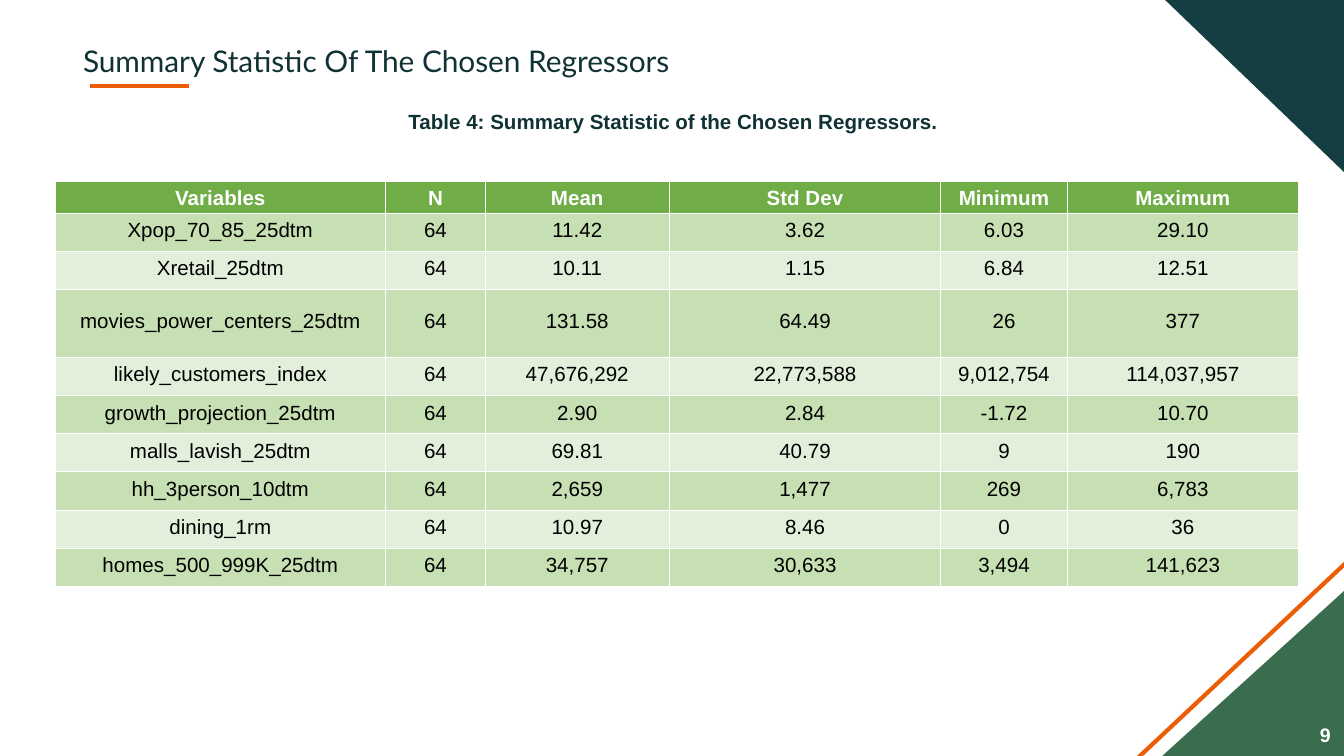
"""Build the summary statistics slide with its regressor table."""
from dataclasses import dataclass

from lxml.etree import SubElement
from pptx import Presentation
from pptx.dml.color import RGBColor
from pptx.enum.shapes import MSO_CONNECTOR as Connector, MSO_SHAPE as Shape
from pptx.enum.text import MSO_ANCHOR as Anchor, PP_ALIGN as Align
from pptx.oxml.ns import qn
from pptx.util import Cm, Pt


@dataclass(frozen=True)
class Theme:
    """Colours, fonts and sizes of the slide."""
    teal: str = "143E42"
    green: str = "396D4D"
    orange: str = "EB5D06"
    ink: str = "103235"
    white: str = "FFFFFF"
    black: str = "000000"
    header: str = "70AD47"
    bands: tuple = ("C6E0B4", "E2EFDA")
    heading_font: str = "Lato"
    body_font: str = "Arial"
    heading_size: float = 16
    body_size: float = 11
    number_size: float = 10.5
    stroke: float = 2.25
    grid: float = 0.5


THEME = Theme()
COLUMN_WIDTHS = (6.25, 1.88, 3.48, 5.13, 2.39, 4.37)
HEADER_HEIGHT, ROW_HEIGHT, TALL_HEIGHT = 0.6, 0.72, 1.29
TALL_VARIABLE = "movies_power_centers_25dtm"
STATISTICS = (
    ("Variables", "N", "Mean", "Std Dev", "Minimum", "Maximum"),
    ("Xpop_70_85_25dtm", "64", "11.42", "3.62", "6.03", "29.10"),
    ("Xretail_25dtm", "64", "10.11", "1.15", "6.84", "12.51"),
    (TALL_VARIABLE, "64", "131.58", "64.49", "26", "377"),
    ("likely_customers_index", "64", "47,676,292", "22,773,588", "9,012,754", "114,037,957"),
    ("growth_projection_25dtm", "64", "2.90", "2.84", "-1.72", "10.70"),
    ("malls_lavish_25dtm", "64", "69.81", "40.79", "9", "190"),
    ("hh_3person_10dtm", "64", "2,659", "1,477", "269", "6,783"),
    ("dining_1rm", "64", "10.97", "8.46", "0", "36"),
    ("homes_500_999K_25dtm", "64", "34,757", "30,633", "3,494", "141,623"),
)


def paint(shape, color):
    """Give a shape a flat fill without outline or shadow."""
    shape.shadow.inherit = False
    shape.fill.solid()
    shape.fill.fore_color.rgb = RGBColor.from_string(color)
    shape.line.fill.background()


def add_rule(slide, start, end):
    """Draw an orange line between two points."""
    rule = slide.shapes.add_connector(Connector.STRAIGHT, *map(Cm, start + end))
    rule.line.color.rgb = RGBColor.from_string(THEME.orange)
    rule.line.width = Pt(THEME.stroke)
    SubElement(rule._element.spPr, qn("a:effectLst"))


def add_corners(slide):
    """Draw the decorated right-hand corners."""
    outline = slide.shapes.build_freeform(Cm(25.45), 0)
    outline.add_line_segments([(Cm(25.45), Cm(3.3)), (Cm(22.02), 0)])
    paint(outline.convert_to_shape(), THEME.teal)
    add_rule(slide, (25.68, 10.41), (21.34, 14.48))
    wedge = slide.shapes.add_shape(
        Shape.RIGHT_TRIANGLE, Cm(21.79), Cm(11.02), Cm(3.78), Cm(3.43))
    wedge._element.spPr.xfrm.set("flipH", "1")
    paint(wedge, THEME.green)


def style(paragraph, font, size, color, bold=False, align=Align.LEFT):
    """Format a paragraph and its runs."""
    paragraph.alignment = align
    for run in paragraph.runs:
        run.font.name = font
        run.font.size = Pt(size)
        run.font.bold = bold
        run.font.color.rgb = RGBColor.from_string(color)


def set_margins(target, left, top, right, bottom):
    """Set the inner margins of a text frame or cell."""
    target.margin_left, target.margin_top = Cm(left), Cm(top)
    target.margin_right, target.margin_bottom = Cm(right), Cm(bottom)


def add_text(slide, box, text, font, size, color, bold=False,
             align=Align.LEFT, anchor=Anchor.TOP, inset=0.25):
    """Add a wrapped line of text and return its paragraph."""
    frame = slide.shapes.add_textbox(*map(Cm, box)).text_frame
    frame.word_wrap = True
    frame.vertical_anchor = anchor
    set_margins(frame, inset, inset, inset, inset)
    frame.text = text
    style(frame.paragraphs[0], font, size, color, bold, align)
    return frame.paragraphs[0]


def add_borders(cell):
    """Outline a cell in white."""
    for side in ("a:lnL", "a:lnR", "a:lnT", "a:lnB"):
        edge = SubElement(cell._tc.get_or_add_tcPr(), qn(side), w=str(Pt(THEME.grid)))
        SubElement(SubElement(edge, qn("a:solidFill")), qn("a:srgbClr"), val=THEME.white)


def fill_cell(cell, text, row_index):
    """Write and format one statistic or heading."""
    is_header = row_index == 0
    cell.text = text
    cell.vertical_anchor = Anchor.MIDDLE
    set_margins(cell, 0.03, 0.03, 0.03, 0 if is_header else 0.1)
    style(cell.text_frame.paragraphs[0], THEME.body_font, THEME.body_size,
          THEME.white if is_header else THEME.black, is_header, Align.CENTER)
    add_borders(cell)
    cell.fill.solid()
    band = THEME.header if is_header else THEME.bands[(row_index - 1) % 2]
    cell.fill.fore_color.rgb = RGBColor.from_string(band)


def add_statistics(slide):
    """Add the banded table of regressors."""
    heights = [TALL_HEIGHT if record[0] == TALL_VARIABLE else ROW_HEIGHT
               for record in STATISTICS]
    heights[0] = HEADER_HEIGHT
    table = slide.shapes.add_table(
        len(STATISTICS), len(COLUMN_WIDTHS), Cm(1.04), Cm(3.43),
        Cm(sum(COLUMN_WIDTHS)), Cm(sum(heights))).table
    for column, width in zip(table.columns, COLUMN_WIDTHS):
        column.width = Cm(width)
    for row_index, record in enumerate(STATISTICS):
        table.rows[row_index].height = Cm(heights[row_index])
        for column_index, text in enumerate(record):
            fill_cell(table.cell(row_index, column_index), text, row_index)


def main():
    """Assemble and save the slide."""
    deck = Presentation()
    deck.slide_width, deck.slide_height = Cm(25.4), Cm(14.29)
    slide = deck.slides.add_slide(deck.slide_layouts[6])
    add_corners(slide)
    add_text(slide, (1.32, 0.56, 21.41, 1.6), "Summary Statistic Of The Chosen Regressors",
             THEME.heading_font, THEME.heading_size, THEME.ink)
    add_rule(slide, (1.7, 1.62), (3.58, 1.62))
    caption = add_text(slide, (7.11, 1.83, 11.89, 1.85),
                       "Table 4: Summary Statistic of the Chosen Regressors.",
                       THEME.body_font, THEME.body_size, THEME.ink, bold=True)
    caption.space_before = Pt(10)
    caption._p.get_or_add_pPr().set("marL", str(Cm(0.36)))
    add_text(slide, (24.18, 13.51, 1.22, 0.76), "9", THEME.body_font,
             THEME.number_size, THEME.white, bold=True,
             align=Align.RIGHT, anchor=Anchor.MIDDLE)
    add_statistics(slide)
    deck.save("out.pptx")


if __name__ == "__main__":
    main()
